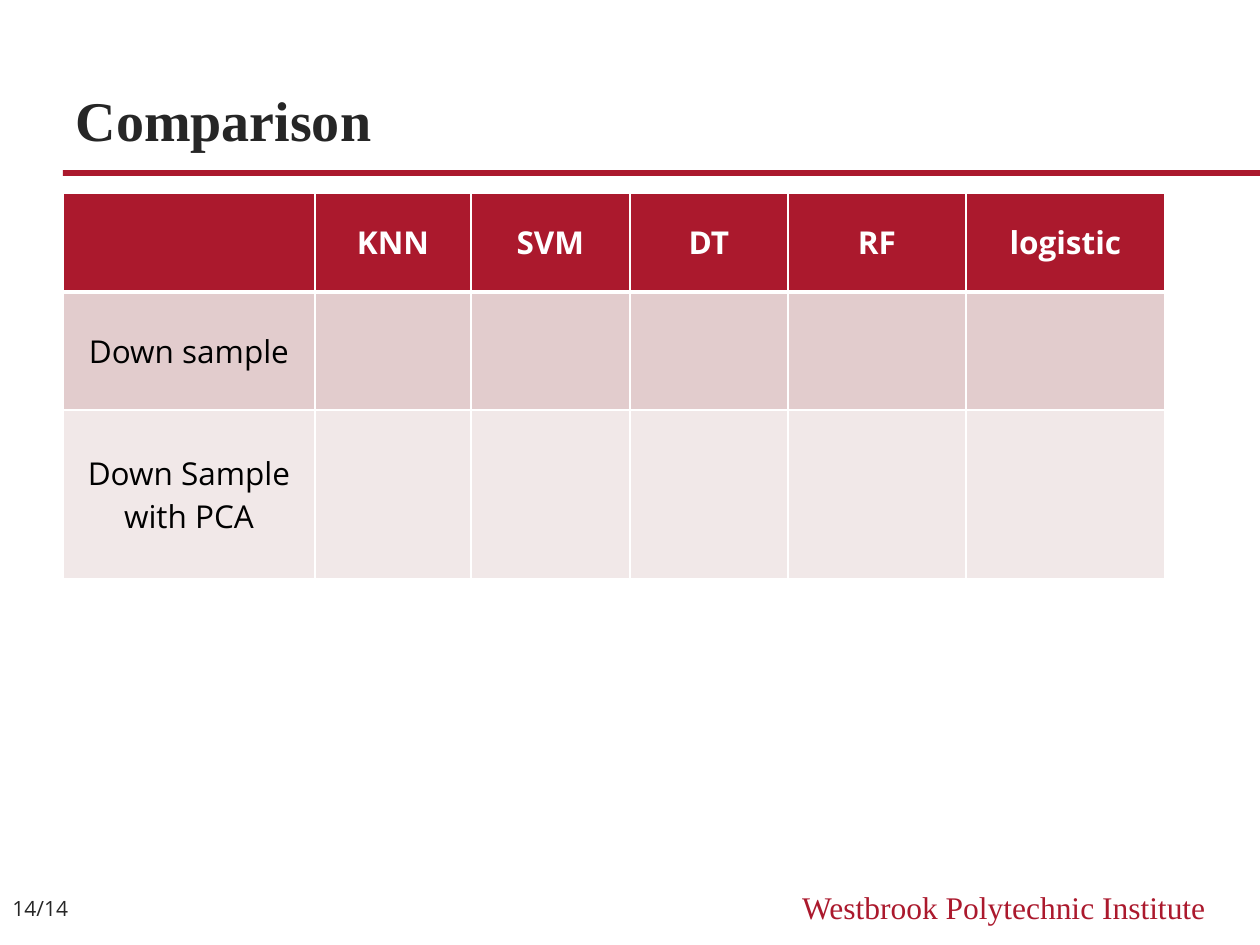
"""Build the model comparison slide with its empty results table."""
from lxml.etree import SubElement
from pptx import Presentation
from pptx.dml.color import RGBColor
from pptx.enum.shapes import MSO_SHAPE
from pptx.enum.text import MSO_ANCHOR, MSO_AUTO_SIZE, PP_ALIGN
from pptx.oxml.ns import qn
from pptx.util import Pt

TITLE = "Comparison"
INSTITUTE = "Westbrook Polytechnic Institute"
PAGE_NUMBER = "14/14"
MODELS = ["KNN", "SVM", "DT", "RF", "logistic"]
SAMPLES = ["Down sample", "Down Sample with PCA"]

THEME = {
    "red": "AB192D", "ink": "262626", "black": "000000", "white": "FFFFFF",
    "bands": ["E2CCCD", "F1E8E8"],
    "serif": "Times New Roman", "sans": "Open Sans",
    "title": 32, "body": 18, "small": 12,
}
SLIDE_SIZE = (1260, 945)
TITLE_BOX = (63, 48, 1134, 111)
RULE_BOX = (63, 170, 1197, 6)
INSTITUTE_BOX = (756, 882, 462, 50)
NUMBER_BOX = (0, 881, 95, 54)
TABLE_ORIGIN = (63, 193)
COLUMN_WIDTHS = [252, 156, 159, 158, 178, 199]
ROW_HEIGHTS = [99, 118, 169]
EMU_PER_PIXEL = 914400 // 126


def emu(pixels):
    return [pixel * EMU_PER_PIXEL for pixel in pixels]


def color(name):
    return RGBColor.from_string(THEME.get(name, name))


def write(frame, text, size, face, ink, align, anchor, bold=False):
    frame.text = text
    frame.word_wrap = True
    frame.vertical_anchor = anchor
    para = frame.paragraphs[0]
    para.alignment = align
    para.font.size = Pt(THEME[size])
    para.font.name = THEME[face]
    para.font.bold = bold
    para.font.color.rgb = color(ink)


def add_text(page, area, *style):
    box = page.shapes.add_textbox(*emu(area))
    write(box.text_frame, *style)


def add_borders(cell, widths):
    properties = cell._tc.get_or_add_tcPr()
    for position, (side, width) in enumerate(widths.items()):
        line = SubElement(properties, qn(f"a:ln{side}"), w=str(Pt(width)))
        fill = SubElement(line, qn("a:solidFill"))
        SubElement(fill, qn("a:srgbClr"), val=THEME["white"])
        properties.insert(position, line)


def add_comparison(page):
    rows = [["", *MODELS]] + [[sample] + [""] * len(MODELS) for sample in SAMPLES]
    area = (*TABLE_ORIGIN, sum(COLUMN_WIDTHS), sum(ROW_HEIGHTS))
    table = page.shapes.add_table(len(rows), len(COLUMN_WIDTHS), *emu(area)).table
    for column, width in zip(table.columns, emu(COLUMN_WIDTHS)):
        column.width = width
    for row, height in zip(table.rows, emu(ROW_HEIGHTS)):
        row.height = height
    fills = ["red", *THEME["bands"]]
    for row_index, texts in enumerate(rows):
        header = row_index == 0
        borders = {"L": 1, "R": 1, "T": 3 if row_index == 1 else 1, "B": 3 if header else 1}
        for column_index, text in enumerate(texts):
            cell = table.cell(row_index, column_index)
            write(cell.text_frame, text, "body", "sans", "white" if header else "black",
                  PP_ALIGN.CENTER, None, header)
            cell.vertical_anchor = MSO_ANCHOR.MIDDLE
            cell.fill.solid()
            cell.fill.fore_color.rgb = color(fills[row_index])
            add_borders(cell, borders)


deck = Presentation()
deck.slide_width, deck.slide_height = emu(SLIDE_SIZE)
page = deck.slides.add_slide(deck.slide_layouts[5])

rule = page.shapes.add_shape(MSO_SHAPE.RECTANGLE, *emu(RULE_BOX))
rule.shadow.inherit = False
rule.fill.solid()
rule.fill.fore_color.rgb = color("red")
rule.line.fill.background()

title = page.shapes.title
title.left, title.top, title.width, title.height = emu(TITLE_BOX)
write(title.text_frame, TITLE, "title", "serif", "ink", PP_ALIGN.LEFT, MSO_ANCHOR.BOTTOM, True)
title.text_frame.auto_size = MSO_AUTO_SIZE.NONE

add_text(page, INSTITUTE_BOX, INSTITUTE, "body", "serif", "red", PP_ALIGN.RIGHT, MSO_ANCHOR.TOP)
add_text(page, NUMBER_BOX, PAGE_NUMBER, "small", "sans", "ink", PP_ALIGN.LEFT, MSO_ANCHOR.MIDDLE)
add_comparison(page)

deck.save("out.pptx")
